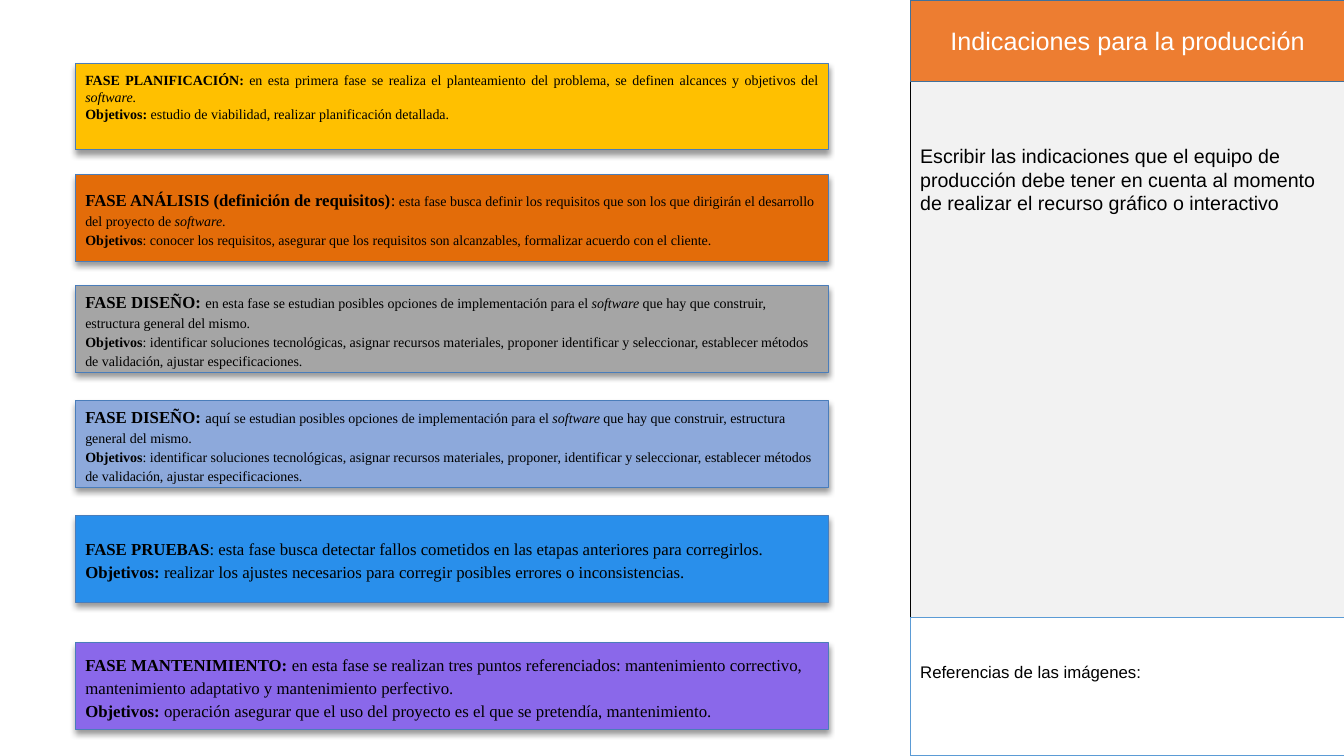
"""Build the slide of software life-cycle phases with its production notes panel."""
from dataclasses import dataclass
from typing import NamedTuple

from lxml.etree import SubElement
from pptx import Presentation
from pptx.dml.color import RGBColor
from pptx.enum.shapes import MSO_SHAPE
from pptx.enum.text import MSO_ANCHOR, PP_ALIGN
from pptx.oxml.ns import qn
from pptx.shapes.autoshape import Shape
from pptx.slide import Slide
from pptx.util import Cm, Pt

BLACK = RGBColor(0x00, 0x00, 0x00)
WHITE = RGBColor(0xFF, 0xFF, 0xFF)
LIGHT_GREY = RGBColor(0xF2, 0xF2, 0xF2)
ORANGE = RGBColor(0xED, 0x7D, 0x31)
DARK_BLUE = RGBColor(0x42, 0x71, 0x9B)
SKY_BLUE = RGBColor(0x5B, 0x9B, 0xD5)
PHASE_LINE = RGBColor(0x4A, 0x7D, 0xBA)
AMBER = RGBColor(0xFF, 0xC0, 0x00)
DEEP_ORANGE = RGBColor(0xE3, 0x6C, 0x09)
GREY = RGBColor(0xA5, 0xA5, 0xA5)
PALE_BLUE = RGBColor(0x8D, 0xA9, 0xDB)
BRIGHT_BLUE = RGBColor(0x29, 0x8F, 0xEB)
PURPLE = RGBColor(0x8A, 0x68, 0xEA)

PANEL_LEFT = 22.94
PANEL_WIDTH = 10.95
PHASE_LEFT, PHASE_WIDTH, PHASE_HEIGHT = 1.9, 18.97, 2.18
SIDE_INSET, EDGE_INSET = 0.25, 0.13


class Box(NamedTuple):
    left: float
    top: float
    width: float
    height: float


class TextRun(NamedTuple):
    text: str
    size: float
    bold: bool = False
    italic: bool = False
    font: str = "Times New Roman"
    color: RGBColor = BLACK


@dataclass
class Phase:
    top: float
    fill: RGBColor
    paragraphs: list[list[TextRun]]
    alignment: PP_ALIGN = PP_ALIGN.LEFT
    spacing: float = 1.14
    top_inset: float = EDGE_INSET
    bottom_inset: float = EDGE_INSET


def design_phase(top: float, fill: RGBColor, opening: str, start: str, proposal: str) -> Phase:
    """Describe a design phase, whose two versions differ in a few words."""
    return Phase(top, fill, [
        [TextRun("FASE DISEÑO: ", 12, bold=True), TextRun(opening, 10.5),
         TextRun(f"{start}se estudian posibles opciones de implementación para el ", 10),
         TextRun("software", 10, italic=True),
         TextRun(" que hay que construir, estructura general del mismo.", 10)],
        [TextRun("Objetivos", 10, bold=True),
         TextRun(": identificar soluciones tecnológicas, asignar recursos materiales, "
                 f"{proposal} identificar y seleccionar, establecer métodos de validación, "
                 "ajustar especificaciones.", 10)],
    ])


PHASES = [
    Phase(1.6, AMBER, [
        [TextRun("FASE PLANIFICACIÓN: ", 10, bold=True),
         TextRun("en esta primera fase se realiza el planteamiento del problema, "
                 "se definen alcances y objetivos del ", 10),
         TextRun("software.", 10, italic=True)],
        [TextRun("Objetivos: ", 10, bold=True),
         TextRun("estudio de viabilidad, realizar planificación detallada.", 10)],
    ], PP_ALIGN.JUSTIFY, 1.0, 0.25, 0.74),
    Phase(4.4, DEEP_ORANGE, [
        [TextRun("FASE ANÁLISIS (definición de requisitos)", 12, bold=True),
         TextRun(":", 12),
         TextRun(" esta fase busca definir los requisitos que son los que dirigirán "
                 "el desarrollo del proyecto de ", 10),
         TextRun("software", 10, italic=True), TextRun(".", 10)],
        [TextRun("Objetivos", 10, bold=True),
         TextRun(": conocer los requisitos, asegurar que los requisitos son alcanzables, "
                 "formalizar acuerdo con el cliente.", 10)],
    ]),
    design_phase(7.2, GREY, "e", "n esta fase ", "proponer"),
    design_phase(10.1, PALE_BLUE, "aquí ", "", "proponer,"),
    Phase(13.0, BRIGHT_BLUE, [
        [TextRun("FASE PRUEBAS", 12, bold=True),
         TextRun(": esta fase busca detectar fallos cometidos en las etapas anteriores "
                 "para corregirlos.", 12)],
        [TextRun("Objetivos: ", 12, bold=True),
         TextRun("realizar los ajustes necesarios para corregir posibles errores "
                 "o inconsistencias.", 12)],
    ]),
    Phase(16.2, PURPLE, [
        [TextRun("FASE MANTENIMIENTO: ", 12, bold=True),
         TextRun("en esta fase se realizan tres puntos referenciados: mantenimiento "
                 "correctivo, mantenimiento adaptativo y mantenimiento perfectivo.", 12)],
        [TextRun("Objetivos:", 12, bold=True),
         TextRun(" operación asegurar que el uso del proyecto es el que se pretendía, "
                 "mantenimiento.", 12)],
    ]),
]


def add_rectangle(slide: Slide, box: Box, fill: RGBColor, line: RGBColor, width: float) -> Shape:
    """Add a filled and outlined rectangle without shadow."""
    shape = slide.shapes.add_shape(MSO_SHAPE.RECTANGLE, *map(Cm, box))
    shape.shadow.inherit = False
    shape.fill.solid()
    shape.fill.fore_color.rgb = fill
    shape.line.color.rgb = line
    shape.line.width = Pt(width)
    return shape


def add_shadow(shape: Shape) -> None:
    """Give a shape a soft shadow below."""
    effects = shape.element.spPr.find(qn("a:effectLst"))
    shadow = SubElement(effects, qn("a:outerShdw"), blurRad=str(Pt(4)), dist=str(Pt(3)),
                        dir="5400000", rotWithShape="0")
    color = SubElement(shadow, qn("a:srgbClr"), val=str(BLACK))
    SubElement(color, qn("a:alpha"), val="40000")


def write_text(shape: Shape, paragraphs: list[list[TextRun]],
               alignment: PP_ALIGN = PP_ALIGN.LEFT, spacing: float = 1.0,
               anchor: MSO_ANCHOR = MSO_ANCHOR.MIDDLE,
               top_inset: float = EDGE_INSET, bottom_inset: float = EDGE_INSET) -> None:
    """Fill a shape with formatted paragraphs."""
    frame = shape.text_frame
    frame.word_wrap = True
    frame.vertical_anchor = anchor
    frame.margin_left = frame.margin_right = Cm(SIDE_INSET)
    frame.margin_top, frame.margin_bottom = Cm(top_inset), Cm(bottom_inset)
    for index, text_runs in enumerate(paragraphs):
        paragraph = frame.add_paragraph() if index else frame.paragraphs[0]
        paragraph.alignment = alignment
        paragraph.line_spacing = spacing
        for text_run in text_runs:
            run = paragraph.add_run()
            run.text = text_run.text
            run.font.name = text_run.font
            run.font.size = Pt(text_run.size)
            run.font.bold = text_run.bold
            run.font.italic = text_run.italic
            run.font.color.rgb = text_run.color


def add_panel(slide: Slide) -> None:
    """Add the production notes panel on the right."""
    add_rectangle(slide, Box(PANEL_LEFT, 0, PANEL_WIDTH, 19.05), LIGHT_GREY, BLACK, 1)
    notes = slide.shapes.add_textbox(*map(Cm, Box(PANEL_LEFT, 3.5, 11, 8.38)))
    write_text(notes, [[TextRun(
        "Escribir las indicaciones que el equipo de producción debe tener en cuenta "
        "al momento de realizar el recurso gráfico o interactivo", 14, font="Arial")]],
        anchor=MSO_ANCHOR.TOP)
    heading = add_rectangle(slide, Box(PANEL_LEFT, 0, PANEL_WIDTH, 2.06), ORANGE, DARK_BLUE, 1)
    write_text(heading, [[TextRun("Indicaciones para la producción", 18,
                                  font="Arial", color=WHITE)]], PP_ALIGN.CENTER)
    references = add_rectangle(slide, Box(PANEL_LEFT, 15.56, PANEL_WIDTH, 3.49),
                               WHITE, SKY_BLUE, 1)
    write_text(references, [[TextRun("Referencias de las imágenes:", 12, font="Arial")]],
               bottom_inset=0.86)


def add_phase(slide: Slide, phase: Phase) -> None:
    """Add the box of one phase."""
    box = Box(PHASE_LEFT, phase.top, PHASE_WIDTH, PHASE_HEIGHT)
    shape = add_rectangle(slide, box, phase.fill, PHASE_LINE, 0.75)
    add_shadow(shape)
    write_text(shape, phase.paragraphs, phase.alignment, phase.spacing,
               top_inset=phase.top_inset, bottom_inset=phase.bottom_inset)


def main() -> None:
    """Build and save the presentation."""
    presentation = Presentation()
    presentation.slide_width, presentation.slide_height = Cm(33.87), Cm(19.05)
    slide = presentation.slides.add_slide(presentation.slide_layouts[6])
    add_panel(slide)
    for phase in PHASES:
        add_phase(slide, phase)
    presentation.save("out.pptx")


if __name__ == "__main__":
    main()
